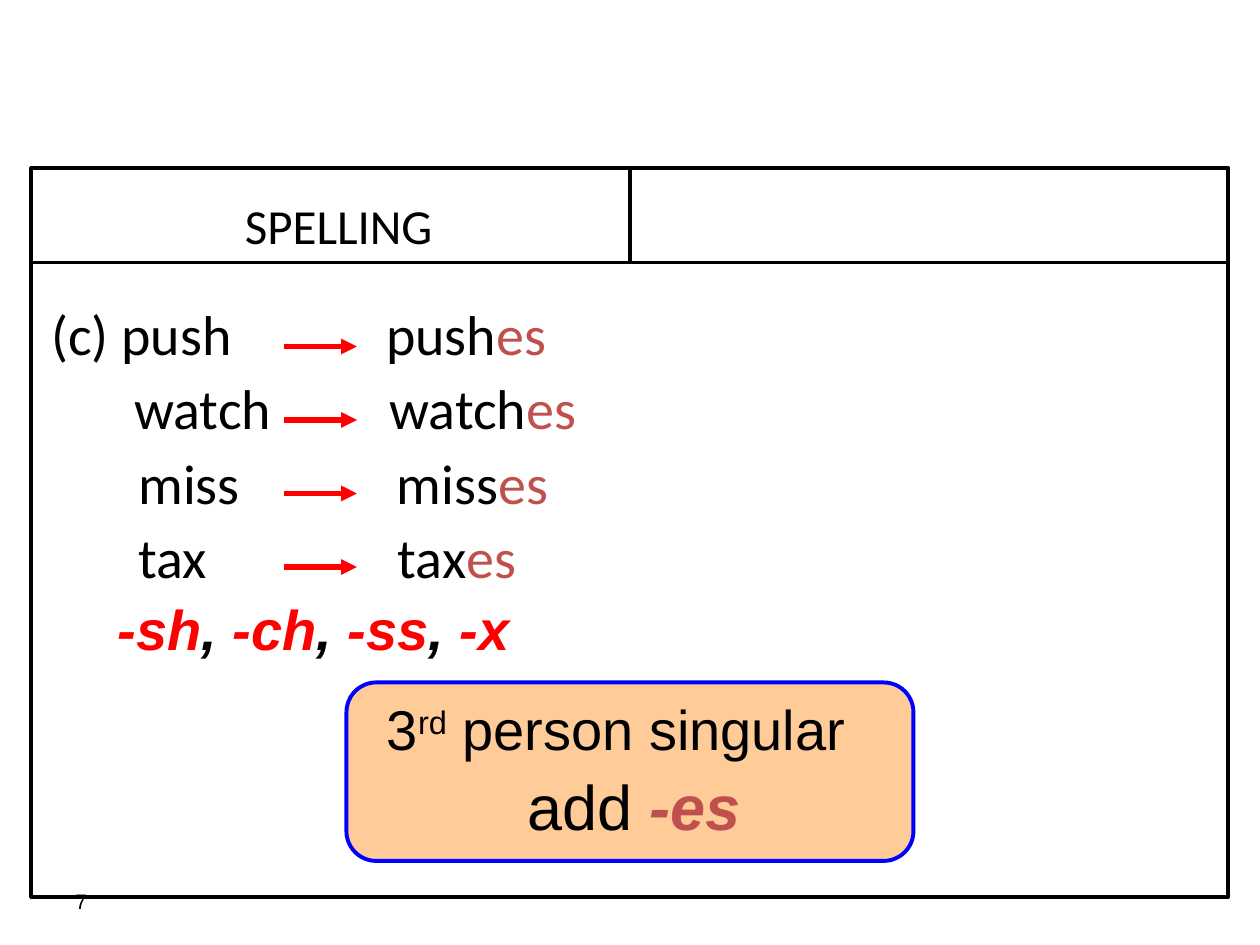
from lxml import etree
from pptx import Presentation
from pptx.dml.color import RGBColor
from pptx.enum import shapes, text
from pptx.oxml.ns import qn
from pptx.util import Inches, Pt

COLORS = {"ink": "000000", "red": "FF0000", "ending": "C0504D",
          "panel": "FFCC99", "border": "0000FF"}
CELL = Inches(10) // 120  # grid of 120 columns by 90 rows
VERBS = [  # verb, its column, stem, its column
    ("(c) push", 3.7, "push", 35.6),
    ("watch", 11.6, "watch", 35.9),
    ("miss", 12, "miss", 36.6),
    ("tax", 12, "tax", 36.7),
]


def grid(*cells):
    return [round(cell * CELL) for cell in cells]


def rgb(color):
    return RGBColor.from_string(COLORS[color])


def add_run(paragraph, words, size, color="ink", font="Calibri", strong=False):
    run = paragraph.add_run()
    run.text = words
    run.font.name, run.font.size = font, Pt(size)
    run.font.color.rgb = rgb(color)
    if strong:
        run.font.bold = run.font.italic = True
    return run


def add_text(slide, box, align=text.PP_ALIGN.LEFT, anchor=text.MSO_ANCHOR.TOP):
    frame = slide.shapes.add_textbox(*grid(*box)).text_frame
    frame.word_wrap = True
    frame.vertical_anchor = anchor
    frame.paragraphs[0].alignment = align
    return frame


def add_line(slide, start, end, color="ink", width=2.25, arrow=False):
    line = slide.shapes.add_connector(
        shapes.MSO_CONNECTOR.STRAIGHT, *grid(*start, *end))
    line.line.color.rgb = rgb(color)
    line.line.width = Pt(width)
    if arrow:
        etree.SubElement(line.line._get_or_add_ln(), qn("a:tailEnd"), type="triangle")
    etree.SubElement(line._element.spPr, qn("a:effectLst"))
    return line


def add_box(slide, preset, box, border, fill=None):
    shape = slide.shapes.add_shape(preset, *grid(*box))
    shape.shadow.inherit = False
    if fill:
        shape.fill.solid()
        shape.fill.fore_color.rgb = rgb(fill)
    else:
        shape.fill.background()
    shape.line.color.rgb = rgb(border)
    shape.line.width = Pt(2.25)
    return shape


def add_table_frame(slide, left, top, width, height, header=9):
    """Outer frame with a header row split in two."""
    frame = add_box(slide, shapes.MSO_SHAPE.RECTANGLE, (left, top, width, height), "ink")
    middle, base = left + width / 2, top + header
    add_line(slide, (left, base), (left + width, base))
    divider = add_line(slide, (middle, top), (middle, base))
    divider.begin_connect(frame, 0)
    title = add_text(slide, (left + 16, top + 2, 26.5, 6.8), text.PP_ALIGN.CENTER)
    add_run(title.paragraphs[0], "SPELLING", 28)


def add_verbs(slide, top, pitch=7.1):
    """Base forms, arrows and their -es forms, one verb a row."""
    for row, (verb, verb_left, stem, stem_left) in enumerate(VERBS):
        y = top + row * pitch
        base = add_text(slide, (verb_left, y, 21, 7.5))
        add_run(base.paragraphs[0], verb, 32)
        arrow_y = top + 5.1 + row * 7
        add_line(slide, (27, arrow_y), (34, arrow_y), "red", 3, arrow=True)
        third = add_text(slide, (stem_left, y, 22, 7.5)).paragraphs[0]
        add_run(third, stem, 32)
        add_run(third, "es", 32, "ending")


def add_endings(slide, box):
    endings = add_text(slide, box).paragraphs[0]
    for index, ending in enumerate(("-sh", "-ch", "-ss", "-x")):
        if index:
            add_run(endings, ",", 32, "ink", "Arial", True)
            ending = " " + ending
        add_run(endings, ending, 32, "red", "Arial", True)


def add_rule(slide, left, top, width, height):
    """Rounded panel that states the rule."""
    add_box(slide, shapes.MSO_SHAPE.ROUNDED_RECTANGLE,
            (left, top, width, height), "border", "panel")
    rule = add_text(slide, (left - 2.8, top + 0.6, width + 3, height - 1.4),
                    text.PP_ALIGN.CENTER)
    person = rule.paragraphs[0]
    add_run(person, "3", 32, font="Arial")
    ordinal = add_run(person, "rd", 32, font="Arial")
    ordinal.font._element.set("baseline", "30000")
    add_run(person, " person singular", 32, font="Arial")
    addition = rule.add_paragraph()
    addition.alignment = text.PP_ALIGN.CENTER
    addition.space_before = Pt(3)
    # Indent that sets the second line to the right of the first
    addition._p.get_or_add_pPr().set("marL", str(Inches(0.28)))
    add_run(addition, "add ", 36, font="Arial")
    add_run(addition, "-es", 36, "ending", "Arial", True)


def add_page_number(slide, box):
    number = add_text(slide, box, anchor=text.MSO_ANCHOR.MIDDLE)
    add_run(number.paragraphs[0], "7", 12, font="Arial")


def main():
    deck = Presentation()
    deck.slide_width, deck.slide_height = Inches(10), Inches(7.5)
    slide = deck.slides.add_slide(deck.slide_layouts[6])
    add_page_number(slide, (6, 83.4, 28, 4.8))
    add_rule(slide, 33, 65, 54, 17)
    add_verbs(slide, 27.9)
    add_endings(slide, (10, 56, 41, 7.6))
    add_table_frame(slide, 3, 16, 114, 69.4)
    deck.save("out.pptx")


if __name__ == "__main__":
    main()
